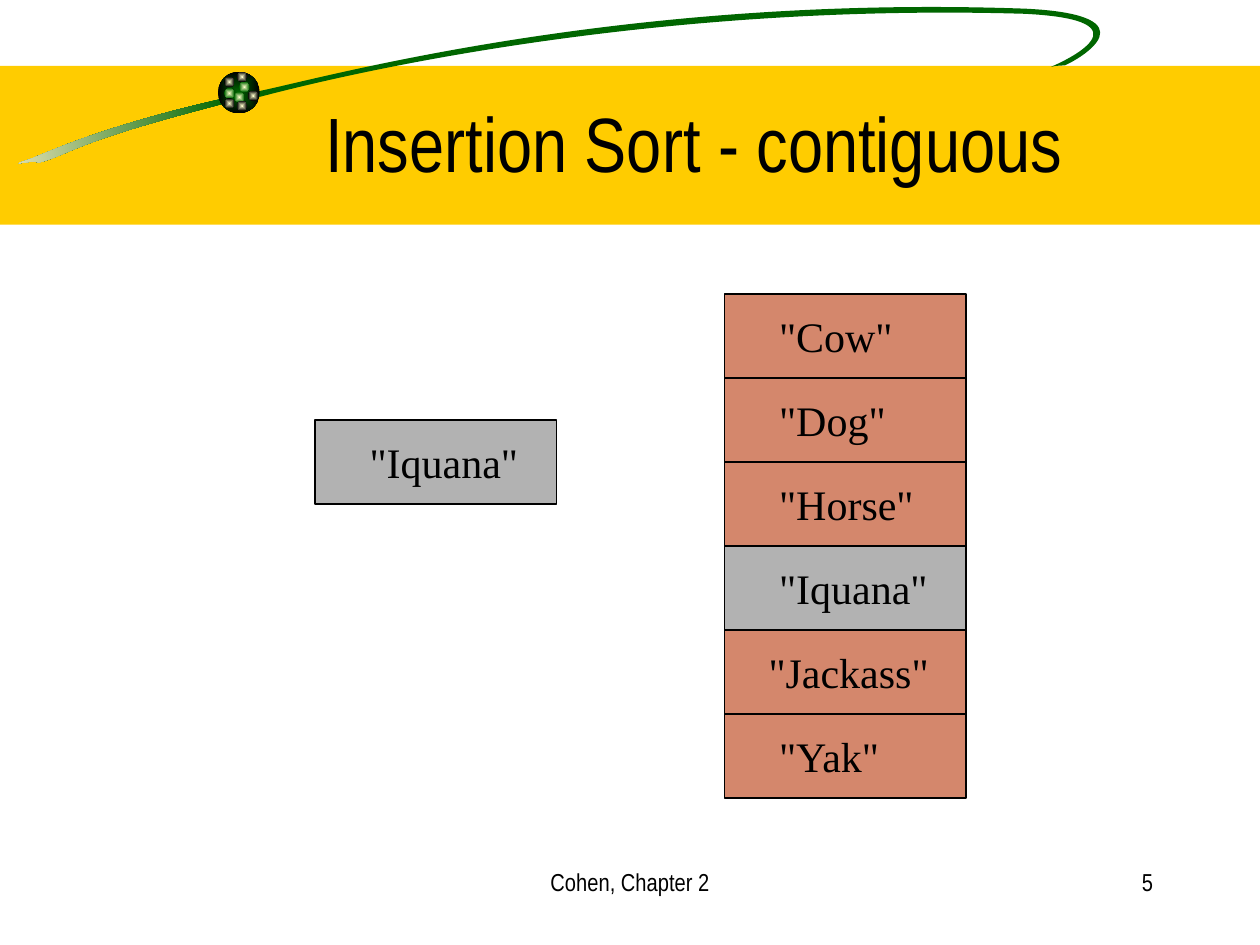
import math
from dataclasses import dataclass

import lxml.etree
import pptx
import pptx.dml.color
import pptx.enum.shapes
import pptx.enum.text
import pptx.oxml
import pptx.oxml.ns
import pptx.util

Pt = pptx.util.Pt
qn = pptx.oxml.ns.qn
SHAPE = pptx.enum.shapes.MSO_SHAPE
ALIGN = pptx.enum.text.PP_ALIGN
ANCHOR = pptx.enum.text.MSO_ANCHOR


@dataclass(frozen=True)
class Theme:
    band: str = "FFCC00"
    green: str = "006600"
    cream: str = "F5EBC1"
    glow: str = "FFFFCC"
    black: str = "000000"
    white: str = "FFFFFF"
    sorted_item: str = "D4876C"
    inserted_item: str = "B2B2B2"
    heading_font: str = "Arial Narrow"
    item_font: str = "Times New Roman"
    title_size: float = 44
    item_size: float = 24
    footer_size: float = 14


THEME = Theme()

# Swooshes in points: box before the tilt, then the tilted outline as a start
# followed by cubic curves (3 points) or lines (1 point)
TILT = -8.5
TAIL_BOX = (-2.2, 65.5, 132.5, 21.6)
TAIL = [(128.2, 56.2),
        [(65.5, 70.6), (35.3, 83.5), (18, 90.7)],
        [(0.7, 96.5), (18.7, 90.7), (22.3, 92.9)],
        [(41, 87.8), (41, 81.4), (128.9, 59)],
        [(128.9, 59), (128.2, 56.2), (128.2, 56.2)]]
LOOP_BOX = (144.7, -10.8, 515.5, 78.5)
LOOP = [(145.4, 52.6),
        [(177.1, 46.8), (349.9, -3.6), (586.1, 5)],
        [(660.2, 8.6), (617, 33.8), (608.4, 37.4)],
        [(608.4, 37.4), (603.4, 37.4), (600.5, 38.2)],
        [(607.7, 35.3), (659.5, 11.5), (585.4, 7.9)],
        [(394.6, 2.2), (230.4, 33.8), (148.3, 55.4)],
        [(148.3, 55.4), (145.4, 52.6), (145.4, 52.6)]]

# Left, top and rim colour of the lights on the ball
LIGHTS = [(136.8, 46.8, THEME.green), (128.2, 43.9, THEME.black),
          (128.2, 50.4, THEME.green), (133.9, 52.6, THEME.green),
          (141.8, 51.8, THEME.black), (135.4, 57.6, THEME.black),
          (128.2, 56.2, THEME.black), (135.4, 41, THEME.black)]

CELL_WIDTH, CELL_HEIGHT = 138, 48
LIST_LEFT, LIST_TOP = 414, 168
ITEMS = ["Cow", "Dog", "Horse", "Iquana", "Jackass", "Yak"]
INSERTED = "Iquana"


def rgb(value):
    return pptx.dml.color.RGBColor.from_string(value)


def set_text(shape, text, *, size, font, align=ALIGN.LEFT, anchor=ANCHOR.TOP,
             left_inset=7.2):
    frame = shape.text_frame
    frame.word_wrap = True
    frame.auto_size = pptx.enum.text.MSO_AUTO_SIZE.NONE
    frame.vertical_anchor = anchor
    frame.margin_left, frame.margin_right = Pt(left_inset), Pt(7.2)
    frame.margin_top = frame.margin_bottom = Pt(3.6)
    paragraph = frame.paragraphs[0]
    paragraph.alignment = align
    run = paragraph.add_run()
    run.text = text
    run.font.size = Pt(size)
    run.font.name = font
    run.font.color.rgb = rgb(THEME.black)


def paint(shape, fill, line=None, opacity=None):
    shape.shadow.inherit = False
    shape.fill.solid()
    shape.fill.fore_color.rgb = rgb(fill)
    if opacity is not None:
        color = shape._element.spPr.find(qn("a:solidFill"))[0]
        lxml.etree.SubElement(color, qn("a:alpha")).set("val", str(opacity * 1000))
    if line:
        shape.line.color.rgb = rgb(line)
        shape.line.width = Pt(0.75)
    else:
        shape.line.fill.background()


def paint_gradient(shape, first, last, angle=None):
    """Linear at the given angle, or from the centre when there is none."""
    shape.shadow.inherit = False
    shape.line.fill.background()
    shape.fill.gradient()
    shape.fill.gradient_angle = angle or 0
    for stop, color, position in zip(shape.fill.gradient_stops, (first, last), (0, 1)):
        stop.color.rgb = rgb(color)
        stop.position = position
    if angle is None:
        linear = shape._element.spPr.find(".//" + qn("a:lin"))
        linear.getparent().replace(linear, pptx.oxml.parse_xml(
            f'<a:path {pptx.oxml.ns.nsdecls("a")} path="rect"><a:fillToRect '
            'l="50000" t="50000" r="50000" b="50000"/></a:path>'))


def add_box(slide, kind, left, top, width, height):
    return slide.shapes.add_shape(kind, Pt(left), Pt(top), Pt(width), Pt(height))


def add_swoosh(slide, outline, box):
    left, top, width, height = box
    middle_x, middle_y = left + width / 2, top + height / 2
    cos, sin = math.cos(math.radians(-TILT)), math.sin(math.radians(-TILT))

    def untilt(point):
        dx, dy = point[0] - middle_x, point[1] - middle_y
        return (Pt(width / 2 + dx * cos - dy * sin),
                Pt(height / 2 + dx * sin + dy * cos))

    start, *segments = outline
    points = [untilt(point) for point in [start, *sum(segments, [])]]
    builder = slide.shapes.build_freeform(*points[0])
    builder.add_line_segments(points[1:], close=True)
    swoosh = builder.convert_to_shape()

    # Measure the outline from the box, and turn each three points into a curve
    swoosh.left, swoosh.top, swoosh.width, swoosh.height = map(Pt, box)
    swoosh.rotation = TILT
    contour = swoosh._element.spPr.find(".//" + qn("a:path"))
    contour.set("w", str(Pt(width)))
    contour.set("h", str(Pt(height)))
    for node, (x, y) in zip(contour.iter(qn("a:pt")), points):
        node.set("x", str(x))
        node.set("y", str(y))
    lines = iter(contour.findall(qn("a:lnTo")))
    for segment in segments:
        parts = [next(lines) for _ in segment]
        if len(parts) == 3:
            curve = lxml.etree.SubElement(contour, qn("a:cubicBezTo"))
            parts[0].addprevious(curve)
            for part in parts:
                curve.append(part[0])
                contour.remove(part)
    return swoosh


def add_decoration(slide):
    paint(add_box(slide, SHAPE.RECTANGLE, 0, 37.6, 720, 90.8), THEME.band)
    paint_gradient(add_swoosh(slide, TAIL, TAIL_BOX), THEME.green, THEME.cream, angle=180)
    paint(add_swoosh(slide, LOOP, LOOP_BOX), THEME.green)
    ball = add_box(slide, SHAPE.OVAL, 124.6, 41, 23.8, 23.8)
    paint_gradient(ball, THEME.green, THEME.black)
    for left, top, rim in LIGHTS:
        paint_gradient(add_box(slide, SHAPE.OVAL, left, top, 5.8, 5.8), THEME.glow, rim)
    side_panel = add_box(slide, SHAPE.RECTANGLE, 53.3, 148.3, 87.8, 391.7)
    paint(side_panel, THEME.white, opacity=50)


def add_title(slide, text):
    title = slide.shapes.title
    slide.shapes._spTree.append(title._element)  # bring in front of the band
    title.left, title.top, title.width, title.height = Pt(90.7), Pt(36), Pt(612), Pt(90)
    set_text(title, text, size=THEME.title_size, font=THEME.heading_font,
             align=ALIGN.CENTER, anchor=ANCHOR.MIDDLE)


def add_item(slide, word, left, top):
    cell = add_box(slide, SHAPE.RECTANGLE, left, top, CELL_WIDTH, CELL_HEIGHT)
    paint(cell, THEME.inserted_item if word == INSERTED else THEME.sorted_item,
          THEME.black)
    set_text(cell, f'"{word}"', size=THEME.item_size, font=THEME.item_font,
             anchor=ANCHOR.MIDDLE, left_inset=25.2 if word == "Jackass" else 31.2)


def add_footer(slide, text, left, width, align):
    footer = slide.shapes.add_textbox(Pt(left), Pt(492), Pt(width), Pt(36))
    set_text(footer, text, size=THEME.footer_size, font=THEME.heading_font, align=align)


def main():
    deck = pptx.Presentation()
    deck.slide_width, deck.slide_height = Pt(720), Pt(540)
    slide = deck.slides.add_slide(deck.slide_layouts[5])
    # Band, swoosh and title
    add_decoration(slide)
    add_title(slide, "Insertion Sort - contiguous")
    # Sorted list, and the item to insert beside it
    for row, word in enumerate(ITEMS):
        add_item(slide, word, LIST_LEFT, LIST_TOP + row * CELL_HEIGHT)
    add_item(slide, INSERTED, 180, 240)
    # Footer and slide number
    add_footer(slide, "Cohen, Chapter 2", 246, 228, ALIGN.CENTER)
    add_footer(slide, "5", 516, 150, ALIGN.RIGHT)
    deck.save("out.pptx")


if __name__ == "__main__":
    main()
